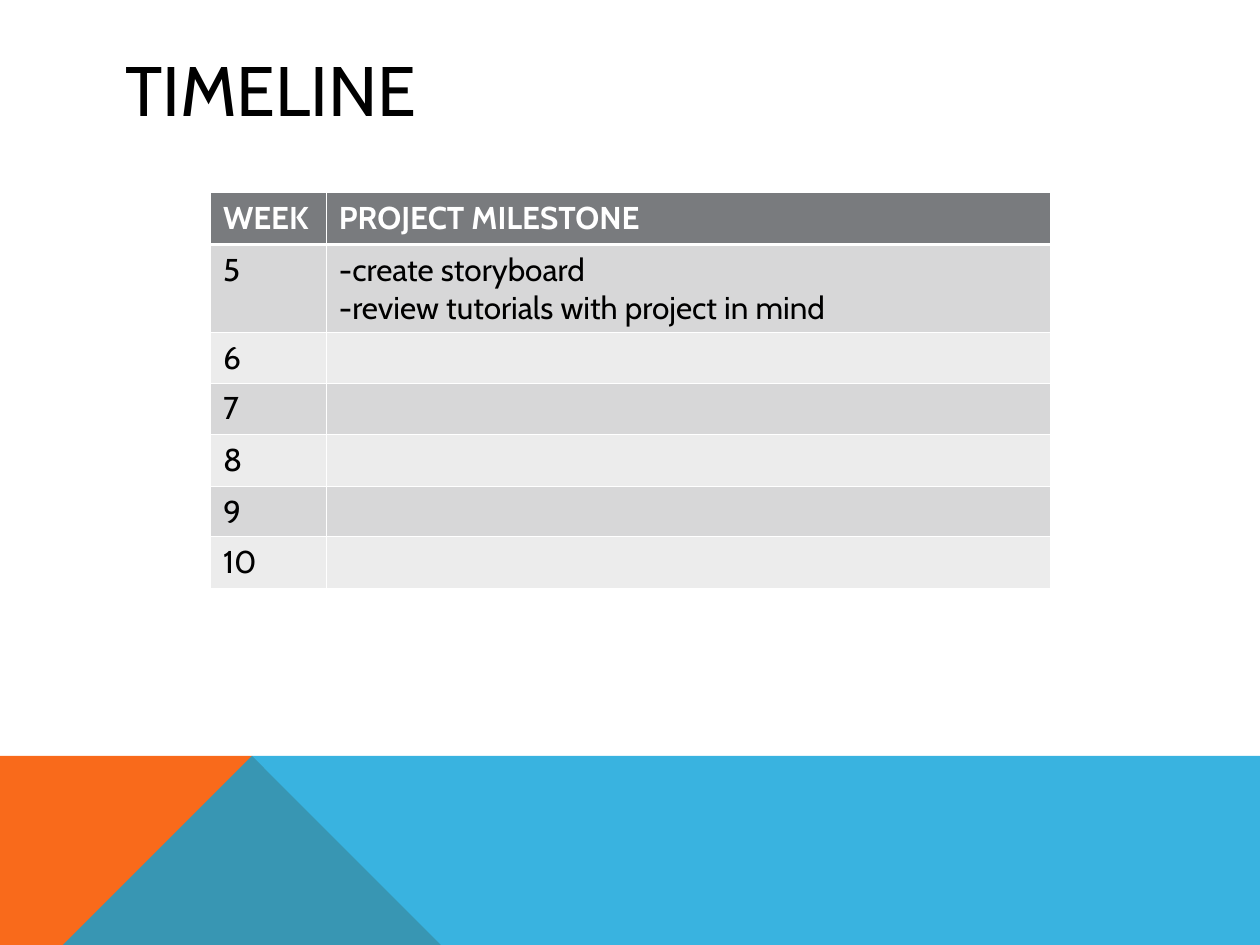
from lxml import etree
from pptx import Presentation
from pptx.dml.color import RGBColor
from pptx.enum import text
from pptx.oxml import ns
from pptx.util import Inches, Pt

FONT = "Cabin"
COLORS = {
    "black": "000000",
    "white": "FFFFFF",
    "orange": "F96A1B",
    "blue": "08A1D9",
    "header": "797B7E",
    "odd_row": "D7D7D8",
    "even_row": "ECECEC",
}
ROWS = [
    ("WEEK", "PROJECT MILESTONE"),
    ("5", "-create storyboard\n-review tutorials with project in mind"),
    *((str(week), "") for week in range(6, 11)),
]
COLUMN_WIDTHS = [0.92, 5.75]
ROW_HEIGHTS = [0.41, 0.7, 0.4, 0.41, 0.41, 0.4, 0.41]
THIN, THICK = 0.45, 1.47


def rgb(name):
    return RGBColor.from_string(COLORS[name])


def write_text(frame, content, size=18, color="black", bold=False):
    frame.text = content
    for paragraph in frame.paragraphs:
        for run in paragraph.runs:
            run.font.name = FONT
            run.font.size = Pt(size)
            run.font.bold = bold
            run.font.color.rgb = rgb(color)


def add_polygon(slide, points, color, opacity=100):
    builder = slide.shapes.build_freeform(*points[0], scale=Inches(1))
    builder.add_line_segments(points[1:], close=True)
    shape = builder.convert_to_shape()
    shape.shadow.inherit = False
    shape.line.fill.background()
    shape.fill.solid()
    shape.fill.fore_color.rgb = rgb(color)
    if opacity < 100:
        color_element = shape.fill._xPr.find(".//" + ns.qn("a:srgbClr"))
        etree.SubElement(color_element, ns.qn("a:alpha"), val=str(opacity * 1000))


def add_title(slide, content):
    box = slide.shapes.add_textbox(Inches(0.9), Inches(0.4), Inches(8.23), Inches(0.6))
    frame = box.text_frame
    frame.word_wrap = True
    frame.vertical_anchor = text.MSO_ANCHOR.MIDDLE
    write_text(frame, content, size=40)


def set_borders(cell, top, bottom):
    """Draw white borders; top and bottom are widths in points."""
    properties = cell._tc.get_or_add_tcPr()
    for side, width in (("L", THIN), ("R", THIN), ("T", top), ("B", bottom)):
        line = etree.SubElement(properties, ns.qn("a:ln" + side), w=str(Pt(width)))
        fill = etree.SubElement(line, ns.qn("a:solidFill"))
        etree.SubElement(fill, ns.qn("a:srgbClr"), val=COLORS["white"])


def add_milestone_table(slide):
    table = slide.shapes.add_table(
        len(ROWS), len(COLUMN_WIDTHS), Inches(1.67), Inches(1.53),
        Inches(sum(COLUMN_WIDTHS)), Inches(sum(ROW_HEIGHTS)),
    ).table
    for column, width in zip(table.columns, COLUMN_WIDTHS):
        column.width = Inches(width)
    for row_index, (height, values) in enumerate(zip(ROW_HEIGHTS, ROWS)):
        table.rows[row_index].height = Inches(height)
        is_header = row_index == 0
        band = "odd_row" if row_index % 2 else "even_row"
        for column_index, value in enumerate(values):
            cell = table.cell(row_index, column_index)
            write_text(cell.text_frame, value, bold=is_header,
                       color="white" if is_header else "black")
            set_borders(cell, top=THICK if row_index == 1 else THIN,
                        bottom=THICK if is_header else THIN)
            cell.fill.solid()
            cell.fill.fore_color.rgb = rgb("header" if is_header else band)


def main():
    presentation = Presentation()
    presentation.slide_width = Inches(10)
    presentation.slide_height = Inches(7.5)
    slide = presentation.slides.add_slide(presentation.slide_layouts[6])
    add_polygon(slide, [(0, 7.5), (0, 5.52), (2.23, 5.52), (3.91, 7.5)], "orange")
    add_polygon(slide, [(0, 7.5), (2.23, 5.52), (10, 5.52), (10, 7.5)], "blue", opacity=80)
    add_title(slide, "TIMELINE")
    add_milestone_table(slide)
    presentation.save("out.pptx")


if __name__ == "__main__":
    main()
